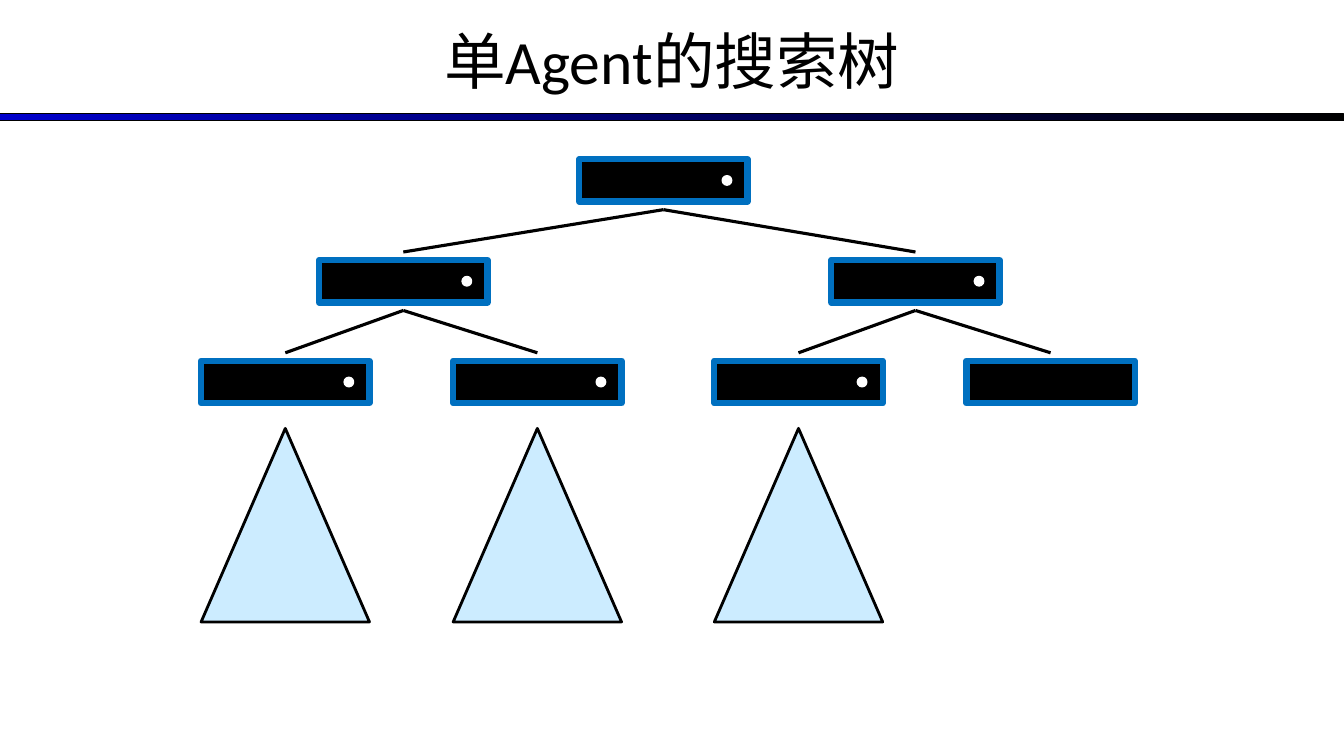
from lxml import etree
from pptx import Presentation
from pptx import util as u
from pptx.dml.color import RGBColor
from pptx.enum import shapes, text
from pptx.oxml.ns import qn

COLORS = {
    "black": "000000",
    "white": "FFFFFF",
    "node_border": "0070C0",
    "subtree": "CCECFF",
    "rule_start": "0000CC",
}

NODE_W, NODE_H = 1.67, 0.42
DOT_SIZE, DOT_OFFSET = 0.08, 0.63
SUBTREE_TOP, SUBTREE_H = 4.25, 1.92
EDGE_GAP = 0.08
LEVEL_TOPS = (1.58, 2.58, 3.58)

# Centre of each node, level by level; children of node i are 2i and 2i + 1
LEVELS = ((6.58,), (4, 9.08), (2.83, 5.33, 7.92, 10.42))
SOLVED_LEAF = LEVELS[-1][-1]


def rgb(name):
    return RGBColor.from_string(COLORS[name])


def add_outlined(slide, kind, left, top, width, height, fill, line, weight):
    shape = slide.shapes.add_shape(
        kind, u.Inches(left), u.Inches(top), u.Inches(width), u.Inches(height))
    shape.shadow.inherit = False
    shape.fill.solid()
    shape.fill.fore_color.rgb = rgb(fill)
    shape.line.color.rgb = rgb(line)
    shape.line.width = u.Pt(weight)
    return shape


def add_header_rule(slide):
    rule = add_outlined(slide, shapes.MSO_SHAPE.RECTANGLE, 0, 1.13, 13.33, 0.07,
                        "black", "black", 0.75)
    rule.fill.gradient()
    rule.fill.gradient_angle = 0
    stops = zip(rule.fill.gradient_stops, (0, 1), ("rule_start", "black"))
    for stop, position, color in stops:
        stop.position = position
        stop.color.rgb = rgb(color)


def add_title(slide, wording):
    title = slide.shapes.add_textbox(
        u.Inches(0), u.Inches(-0.03), u.Inches(13.33), u.Inches(1.25))
    frame = title.text_frame
    frame.word_wrap = True
    frame.vertical_anchor = text.MSO_ANCHOR.MIDDLE
    heading = frame.paragraphs[0]
    heading.text = wording
    heading.alignment = text.PP_ALIGN.CENTER
    heading.font.name = "Calibri"
    heading.font.size = u.Pt(44)
    heading.font.color.rgb = rgb("black")


def add_edge(slide, parent_x, parent_y, child_x, child_y):
    edge = slide.shapes.add_connector(
        shapes.MSO_CONNECTOR.STRAIGHT, u.Inches(parent_x), u.Inches(parent_y),
        u.Inches(child_x), u.Inches(child_y))
    edge.line.color.rgb = rgb("black")
    edge.line.width = u.Pt(2.25)
    etree.SubElement(edge._element.spPr, qn("a:effectLst"))


def add_node(slide, center, top, has_dot):
    add_outlined(slide, shapes.MSO_SHAPE.RECTANGLE, center - NODE_W / 2, top,
                 NODE_W, NODE_H, "black", "node_border", 4.5)
    if has_dot:
        add_outlined(slide, shapes.MSO_SHAPE.OVAL,
                     center + DOT_OFFSET - DOT_SIZE / 2,
                     top + (NODE_H - DOT_SIZE) / 2,
                     DOT_SIZE, DOT_SIZE, "white", "white", 2)


def add_subtree(slide, center):
    add_outlined(slide, shapes.MSO_SHAPE.ISOSCELES_TRIANGLE, center - NODE_W / 2,
                 SUBTREE_TOP, NODE_W, SUBTREE_H, "subtree", "black", 2)


def main():
    prs = Presentation()
    prs.slide_width, prs.slide_height = u.Inches(13.33), u.Inches(7.5)
    slide = prs.slides.add_slide(prs.slide_layouts[6])

    # Header
    add_header_rule(slide)
    add_title(slide, "单Agent的搜索树")

    # Edges from each parent to its two children
    for depth, parents in enumerate(LEVELS[:-1]):
        start_y = LEVEL_TOPS[depth] + NODE_H + EDGE_GAP
        end_y = LEVEL_TOPS[depth + 1] - EDGE_GAP
        for i, parent in enumerate(parents):
            for child in LEVELS[depth + 1][2 * i:2 * i + 2]:
                add_edge(slide, parent, start_y, child, end_y)

    # Nodes
    for top, centers in zip(LEVEL_TOPS, LEVELS):
        for center in centers:
            add_node(slide, center, top, has_dot=center != SOLVED_LEAF)

    # Unexpanded subtrees below the leaves that still have a dot
    for center in LEVELS[-1][:-1]:
        add_subtree(slide, center)

    prs.save("out.pptx")


if __name__ == "__main__":
    main()
